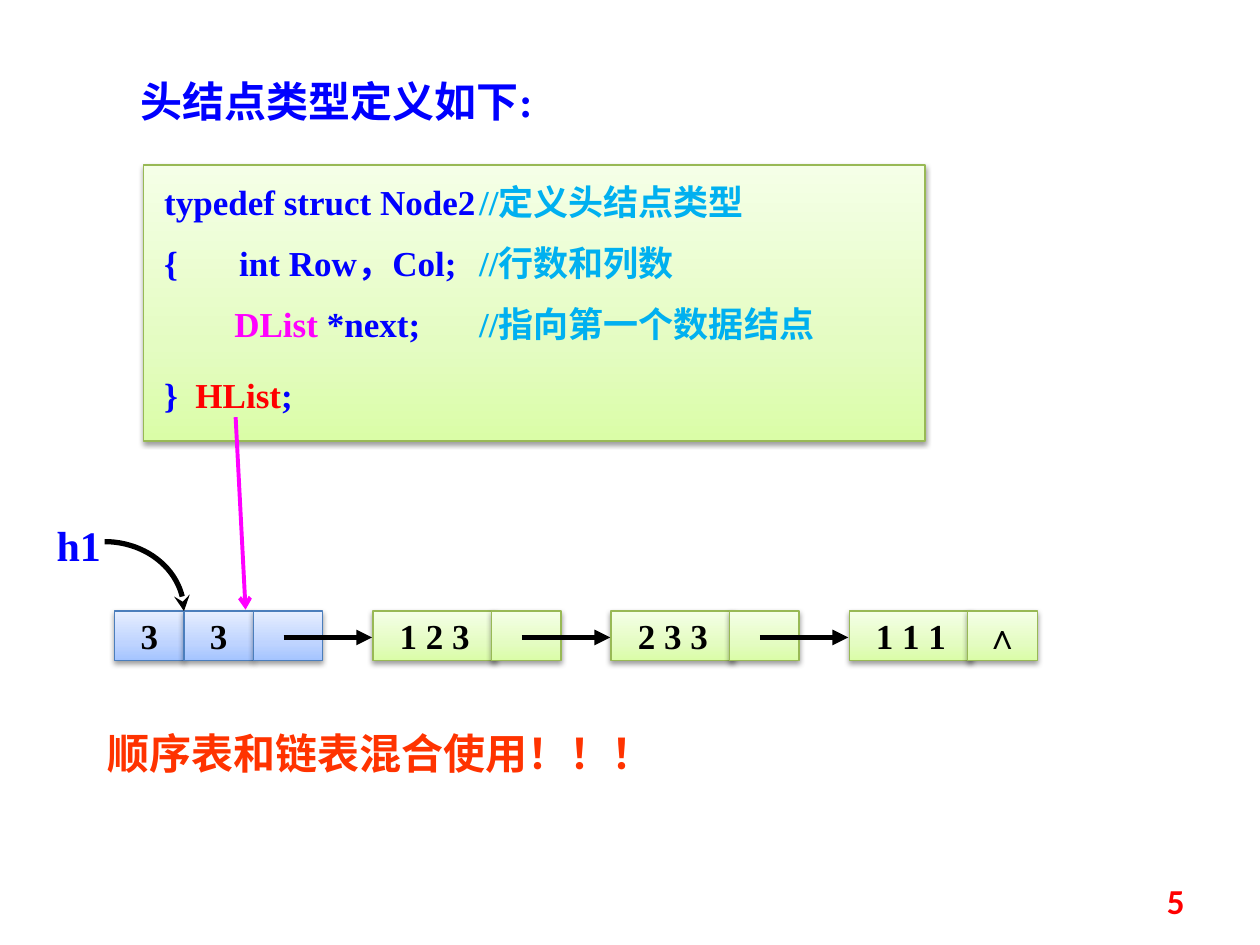
from copy import deepcopy
from math import cos, pi, sin

from lxml import etree
from pptx import Presentation
from pptx.dml.color import RGBColor
from pptx.enum.shapes import MSO_CONNECTOR, MSO_SHAPE
from pptx.enum.text import MSO_ANCHOR, MSO_AUTO_SIZE, PP_ALIGN
from pptx.oxml.ns import qn
from pptx.util import Cm, Pt

RECT = MSO_SHAPE.RECTANGLE
STRAIGHT = MSO_CONNECTOR.STRAIGHT
TOP, MIDDLE = MSO_ANCHOR.TOP, MSO_ANCHOR.MIDDLE
LEFT, CENTER, RIGHT, JUSTIFY = PP_ALIGN.LEFT, PP_ALIGN.CENTER, PP_ALIGN.RIGHT, PP_ALIGN.JUSTIFY

COLORS = {
    "blue": "0000FF", "sky": "00B0F0", "magenta": "FF00FF", "red": "FF0000",
    "orange": "FF3300", "black": "000000", "green_line": "98B955", "blue_line": "4B7EBC",
}
GRADIENTS = {
    "green": ((0, "DAFDA7"), (0.35, "E4FCC2"), (1, "F5FFE7")),
    "blue": ((0, "A4C4FF"), (0.35, "BFD4FF"), (1, "E6EEFF")),
}
CODE = [
    [("typedef struct Node2\t", "blue"), ("//定义头结点类型", "sky")],
    [("{       int Row，Col;\t", "blue"), ("//行数和列数", "sky")],
    [("        ", "blue"), ("DList ", "magenta"), ("*next;\t", "blue"),
     ("//指向第一个数据结点", "sky")],
    [("}  ", "blue"), ("HList", "red"), (";", "blue")],
]
CODE_GAPS = (0, 11, 11, 16.5)
HEAD_CELLS = ("3", "3", "")
DATA_NODES = (("1 2 3", ""), ("2 3 3", ""), ("1 1 1", "∧"))

ROW_TOP, ROW_HEIGHT, ARROW_Y = 12.32, 0.99, 12.85
HEAD_LEFT, CELL_WIDTH = 2.31, 1.4
NODE_LEFT, NODE_STEP, DATA_WIDTH, LINK_OFFSET = 7.52, 4.8, 2.49, 2.39
ARROW_LEFT, ARROW_LENGTH = 5.72, 1.78


def rgb(name):
    return RGBColor.from_string(COLORS[name])


def write(shape, lines, size=20, font="Times New Roman", bold=True, align=LEFT,
          anchor=TOP, wrap=True, inset=(0.25, 0.13), gaps=None):
    frame = shape.text_frame
    frame.auto_size = MSO_AUTO_SIZE.NONE
    frame.word_wrap = wrap
    frame.vertical_anchor = anchor
    frame.margin_left = frame.margin_right = Cm(inset[0])
    frame.margin_top = frame.margin_bottom = Cm(inset[1])
    for index, line in enumerate(lines):
        paragraph = frame.add_paragraph() if index else frame.paragraphs[0]
        paragraph.alignment = align
        if gaps and gaps[index]:
            paragraph.space_before = Pt(gaps[index])
        for text, color in line:
            run = paragraph.add_run()
            run.text = text
            run.font.name = font
            run.font.size = Pt(size)
            run.font.bold = bold
            run.font.color.rgb = rgb(color)


def add_label(slide, box, text, color, **text_format):
    label = slide.shapes.add_textbox(*map(Cm, box))
    write(label, [[(text, color)]], **text_format)


def fill_gradient(shape, stops):
    shape.fill.gradient()
    shape.fill.gradient_angle = 90
    stop_list = shape.fill._fill._gradFill.find(qn("a:gsLst"))
    stop_list.insert(1, deepcopy(stop_list[0]))
    for stop, (position, color) in zip(shape.fill.gradient_stops, stops):
        stop.position = position
        stop.color.rgb = RGBColor.from_string(color)


def add_shadow(shape):
    shape.shadow.inherit = False
    effects = shape._element.spPr.find(qn("a:effectLst"))
    shadow = etree.SubElement(effects, qn("a:outerShdw"), blurRad="40000",
                              dist="20000", dir="5400000", rotWithShape="0")
    color = etree.SubElement(shadow, qn("a:srgbClr"), val=COLORS["black"])
    etree.SubElement(color, qn("a:alpha"), val="38000")


def add_panel(slide, box, tint):
    panel = slide.shapes.add_shape(RECT, *map(Cm, box))
    fill_gradient(panel, GRADIENTS[tint])
    panel.line.color.rgb = rgb(f"{tint}_line")
    panel.line.width = Pt(0.75)
    add_shadow(panel)
    return panel


def add_cell(slide, left, width, text, tint):
    cell = add_panel(slide, (left, ROW_TOP, width, ROW_HEIGHT), tint)
    if text:
        write(cell, [[(text, "black")]], align=CENTER, anchor=MIDDLE, wrap=False)


def style_arrow(arrow, color, width, head):
    arrow.line.color.rgb = rgb(color)
    arrow.line.width = Pt(width)
    etree.SubElement(arrow.line._get_or_add_ln(), qn("a:tailEnd"), type=head)


def add_arrow(slide, start, end, color, width, head):
    arrow = slide.shapes.add_connector(STRAIGHT, *map(Cm, start + end))
    style_arrow(arrow, color, width, head)
    etree.SubElement(arrow._element.spPr, qn("a:effectLst"))


def add_curved_arrow(slide, left, top, width, height, steps=24):
    angles = [pi / 2 * step / steps for step in range(steps + 1)]
    points = [(Cm(left + width * sin(a)), Cm(top + height * (1 - cos(a)))) for a in angles]
    builder = slide.shapes.build_freeform(*points[0])
    builder.add_line_segments(points[1:], close=False)
    curve = builder.convert_to_shape()
    curve.fill.background()
    curve.shadow.inherit = False
    style_arrow(curve, "black", 3, "stealth")


def add_heading(slide, text):
    heading = slide.shapes.title
    heading.left, heading.top, heading.width, heading.height = map(Cm, (2.59, 1.4, 12.4, 1.27))
    write(heading, [[(text, "blue")]], size=24)


def add_linked_list(slide):
    for index, text in enumerate(HEAD_CELLS):
        add_cell(slide, HEAD_LEFT + index * CELL_WIDTH, CELL_WIDTH, text, "blue")
    for index, (data, link) in enumerate(DATA_NODES):
        shift = index * NODE_STEP
        add_cell(slide, NODE_LEFT + shift, DATA_WIDTH, data, "green")
        add_cell(slide, NODE_LEFT + LINK_OFFSET + shift, CELL_WIDTH, link, "green")
        start = ARROW_LEFT + shift
        add_arrow(slide, (start, ARROW_Y), (start + ARROW_LENGTH, ARROW_Y),
                  "black", 3, "triangle")


def main():
    deck = Presentation()
    deck.slide_width, deck.slide_height = Cm(25.4), Cm(19.05)
    slide = deck.slides.add_slide(deck.slide_layouts[5])

    add_heading(slide, "头结点类型定义如下:")
    definition = add_panel(slide, (2.9, 3.33, 15.75, 5.56), "green")
    write(definition, CODE, align=JUSTIFY, inset=(0.41, 0.3), gaps=CODE_GAPS)
    add_label(slide, (1.91, 14.53, 12.19, 1.27), "顺序表和链表混合使用！！！", "orange", size=24)
    add_linked_list(slide)
    add_curved_arrow(slide, 2.11, 10.92, 1.6, 1.4)
    add_label(slide, (0.89, 10.34, 1.8, 1.27), "h1", "blue", size=24)
    add_arrow(slide, (4.75, 8.41), (4.95, 12.29), "magenta", 2.25, "arrow")
    add_label(slide, (18.21, 17.65, 5.92, 1.02), "5", "red", font="Calibri",
              align=RIGHT, anchor=MIDDLE)
    deck.save("out.pptx")


if __name__ == "__main__":
    main()
